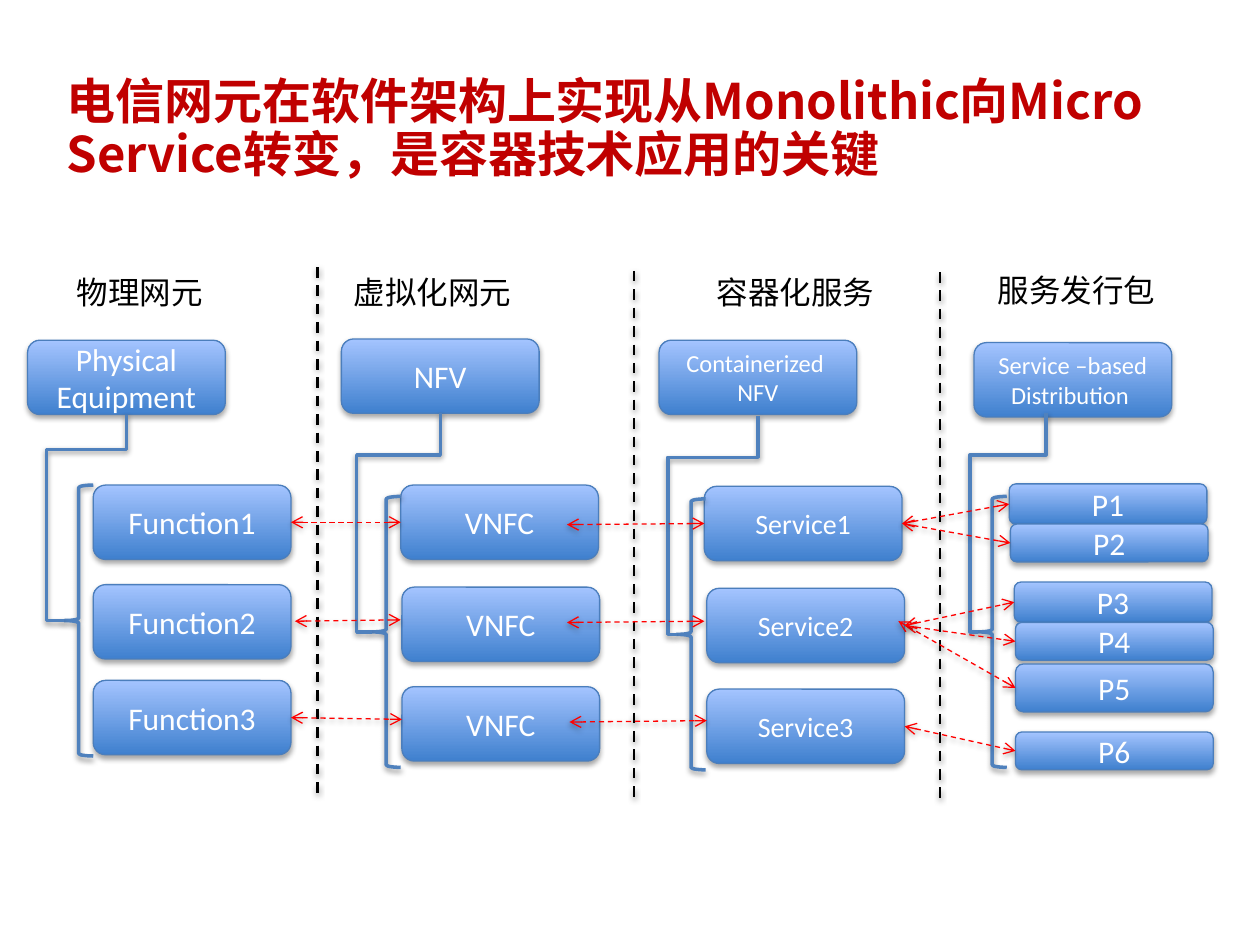
from pptx import Presentation
from pptx.dml.color import RGBColor
from pptx.enum.dml import MSO_LINE
from pptx.enum.shapes import MSO_CONNECTOR as LINK, MSO_SHAPE as SHAPE
from pptx.enum.text import MSO_ANCHOR as ANCHOR, PP_ALIGN as ALIGN
from pptx.oxml import parse_xml
from pptx.oxml.ns import nsdecls, qn
from pptx.util import Pt
from lxml.etree import SubElement

RED_TITLE = RGBColor(0xC0, 0x00, 0x00)
RED_LINK = RGBColor(0xFF, 0x00, 0x00)
BLACK = RGBColor(0x00, 0x00, 0x00)
WHITE = RGBColor(0xFF, 0xFF, 0xFF)
BLUE_DARK = RGBColor(0x3F, 0x80, 0xCE)
BLUE_LIGHT = RGBColor(0xA4, 0xC4, 0xFF)
BLUE_EDGE = RGBColor(0x4B, 0x7E, 0xBC)
BLUE_LINE = RGBColor(0x4F, 0x81, 0xBD)
LATIN, CJK = "Calibri", "Noto Sans CJK SC"
NODE_W, NODE_H = 113, 42.5
BRACE_W, BRACE_H = 16.6, 154.8
DIVIDER_H = 302.4

STAGES = [
    dict(left=15.8, top=152.6, title="物理网元", title_dx=20.9, title_w=96.5,
         head="Physical Equipment", head_dy=41.8, head_size=18, node_size=18,
         brace=(20.9, 124.6), spine_dx=10.8, stem=(56.5, 84.3), drop=20.1,
         nodes=[("Function1", 37.5, 124.6, NODE_H), ("Function2", 37.5, 181.5, NODE_H),
                ("Function3", 37.5, 236.2, NODE_H)]),
    dict(left=195.1, top=152.6, title="虚拟化网元", title_dx=0, title_w=123,
         head="NFV", head_dy=41.1, head_size=18, node_size=18,
         brace=(17.3, 131.1), spine_dx=8.7, stem=(56.5, 83.6), drop=23.7,
         nodes=[("VNFC", 33.9, 124.6, NODE_H), ("VNFC", 34.6, 182.9, NODE_H),
                ("VNFC", 34.6, 239.8, NODE_H)]),
    dict(left=376.6, top=152.6, title="容器化服务", title_dx=25.9, title_w=106.6,
         head="Containerized \nNFV", head_dy=41.8, head_size=14, node_size=16,
         brace=(10, 132.5), spine_dx=5, stem=(56.5, 85), drop=23.7,
         nodes=[("Service1", 25.9, 125.3, NODE_H), ("Service2", 27.3, 183.6, NODE_H),
                ("Service3", 27.3, 241.2, NODE_H)]),
    dict(left=556.6, top=151.2, title="服务发行包", title_dx=6.5, title_w=106.6,
         head="Service –based\nDistribution ", head_dy=44.6, head_size=14, node_size=18,
         brace=(2.1, 132.5), spine_dx=-2.2, stem=(41, 85), drop=23.7,
         nodes=[("P1", 20.1, 125.3, 23), ("P2", 20.8, 148.3, 21.6),
                ("P3", 23, 181.4, 23), ("P4", 23.7, 204.5, 21.6),
                ("P5", 23.7, 228.2, 27.4), ("P6", 23.7, 267.1, 21.6)]),
]
DIVIDERS = [(181.4, 152.6), (362.2, 154.8), (537.1, 155.5)]


def write(frame, text, size=18, color=BLACK, font=LATIN, bold=False,
          align=ALIGN.LEFT, anchor=ANCHOR.TOP, spacing=None):
    """Fill a text frame with one paragraph per line of text."""
    frame.word_wrap = True
    frame.vertical_anchor = anchor
    for index, line in enumerate(text.split("\n")):
        paragraph = frame.add_paragraph() if index else frame.paragraphs[0]
        paragraph.alignment = align
        paragraph.line_spacing = spacing
        run = paragraph.add_run()
        run.text = line
        run.font.size, run.font.bold, run.font.name = Pt(size), bold, font
        run.font.color.rgb = color
        SubElement(run.font._element, qn("a:ea")).set("typeface", CJK)


def add_label(slide, left, top, width, height, text, **style):
    """Add a wrapped text box."""
    label = slide.shapes.add_textbox(Pt(left), Pt(top), Pt(width), Pt(height))
    write(label.text_frame, text, **style)


def cast_shadow(part, distance=20000, alpha=38000):
    """Give a shape or connector a soft shadow straight below it."""
    part._element.spPr.append(parse_xml(
        f'<a:effectLst {nsdecls("a")}><a:outerShdw blurRad="40000" dist="{distance}" '
        f'dir="5400000" rotWithShape="0"><a:srgbClr val="000000">'
        f'<a:alpha val="{alpha}"/></a:srgbClr></a:outerShdw></a:effectLst>'))


def style_line(part, color, width, dash=None):
    """Set the colour, width and dash of an outline or connector."""
    part.line.color.rgb = color
    part.line.width = Pt(width)
    if dash:
        part.line.dash_style = dash


def add_node(slide, left, top, height, text, size):
    """Add a rounded gradient box with centred text."""
    node = slide.shapes.add_shape(SHAPE.ROUNDED_RECTANGLE, Pt(left), Pt(top),
                                  Pt(NODE_W), Pt(height))
    node.fill.gradient()
    node.fill.gradient_angle = 90
    for stop, color in zip(node.fill.gradient_stops, (BLUE_DARK, BLUE_LIGHT)):
        stop.color.rgb = color
    style_line(node, BLUE_EDGE, 0.75)
    cast_shadow(node, 23000, 35000)
    write(node.text_frame, text, size=size, color=WHITE,
          align=ALIGN.CENTER, anchor=ANCHOR.MIDDLE)
    return node


def add_brace(slide, left, top):
    """Add the brace that gathers a stage's nodes."""
    brace = slide.shapes.add_shape(SHAPE.LEFT_BRACE, Pt(left), Pt(top),
                                   Pt(BRACE_W), Pt(BRACE_H))
    brace.fill.background()
    style_line(brace, BLUE_LINE, 2)
    cast_shadow(brace)


def add_stem(slide, start, end, drop, spine_x):
    """Add an elbow that drops, runs left to the spine, drops and turns right."""
    (x1, y1), (x2, y2) = start, end
    length, depth = y2 - y1, x1 - x2
    left = (x1 + x2 - length) / 2
    top = (y1 + y2 - depth) / 2
    stem = slide.shapes.add_connector(LINK.ELBOW, Pt(left), Pt(top),
                                      Pt(left + length), Pt(top + depth))
    stem.rotation = 90
    geometry = stem._element.spPr.find(qn("a:prstGeom"))
    geometry.set("prst", "bentConnector4")
    guides = geometry.find(qn("a:avLst"))
    for name, ratio in (("adj1", drop / length), ("adj2", (x1 - spine_x) / depth)):
        guide = SubElement(guides, qn("a:gd"))
        guide.set("name", name)
        guide.set("fmla", f"val {round(ratio * 100000)}")
    style_line(stem, BLUE_LINE, 2)
    cast_shadow(stem)


def add_stage(slide, left, top, title, title_dx, title_w, head, head_dy, head_size,
              node_size, brace, spine_dx, stem, drop, nodes):
    """Build one stage column from its top left corner and return its nodes."""
    add_label(slide, left + title_dx, top, title_w, 29, title)
    add_node(slide, left, top + head_dy, NODE_H, head, head_size)
    boxes = [add_node(slide, left + dx, top + dy, height, text, node_size)
             for text, dx, dy, height in nodes]
    brace_x, brace_y = left + brace[0], top + brace[1]
    add_brace(slide, brace_x, brace_y)
    add_stem(slide, (left + stem[0], top + stem[1]),
             (brace_x, brace_y + BRACE_H / 2), drop, left + spine_dx)
    return boxes


def add_divider(slide, x, top):
    """Add a dashed vertical line between two stages."""
    divider = slide.shapes.add_connector(LINK.STRAIGHT, Pt(x), Pt(top),
                                         Pt(x), Pt(top + DIVIDER_H))
    style_line(divider, BLACK, 1.5, MSO_LINE.DASH)
    cast_shadow(divider)


def add_link(slide, start, end):
    """Add a dashed two-way arrow; each end is a point or a node to join."""
    points = [end_part if isinstance(end_part, tuple) else (0, 0)
              for end_part in (start, end)]
    link = slide.shapes.add_connector(LINK.STRAIGHT, *[Pt(v) for p in points for v in p])
    if not isinstance(start, tuple):
        link.begin_connect(start, 3)
    if not isinstance(end, tuple):
        link.end_connect(end, 1)
    style_line(link, RED_LINK, 0.75, MSO_LINE.DASH)
    for tip in ("a:headEnd", "a:tailEnd"):
        SubElement(link._element.spPr.find(qn("a:ln")), qn(tip)).set("type", "arrow")
    cast_shadow(link)


def main():
    """Build the slide and save it."""
    deck = Presentation()
    deck.slide_width, deck.slide_height = Pt(720), Pt(540)
    slide = deck.slides.add_slide(deck.slide_layouts[6])
    add_label(slide, 31, 43.2, 646.6, 62.6,
              "电信网元在软件架构上实现从Monolithic向Micro Service转变，是容器技术应用的关键",
              size=28, color=RED_TITLE, font=CJK, bold=True,
              anchor=ANCHOR.MIDDLE, spacing=0.9)
    for x, top in DIVIDERS:
        add_divider(slide, x, top)
    functions, vnfcs, services, packages = [add_stage(slide, **stage) for stage in STAGES]
    links = [
        (functions[0], vnfcs[0]),
        ((168.5, 355), (229, 354.2)),
        (functions[2], (229.7, 411.1)),
        ((324, 299.8), services[0]),
        ((324, 355.7), (402.5, 355)),
        ((325.4, 412.6), (403.9, 411.8)),
        (services[0], packages[0]),
        (services[0], packages[1]),
        (services[2], packages[5]),
        ((513.4, 355), packages[4]),
        (services[1], packages[3]),
        (services[1], packages[2]),
    ]
    for start, end in links:
        add_link(slide, start, end)
    deck.save("out.pptx")


if __name__ == "__main__":
    main()
